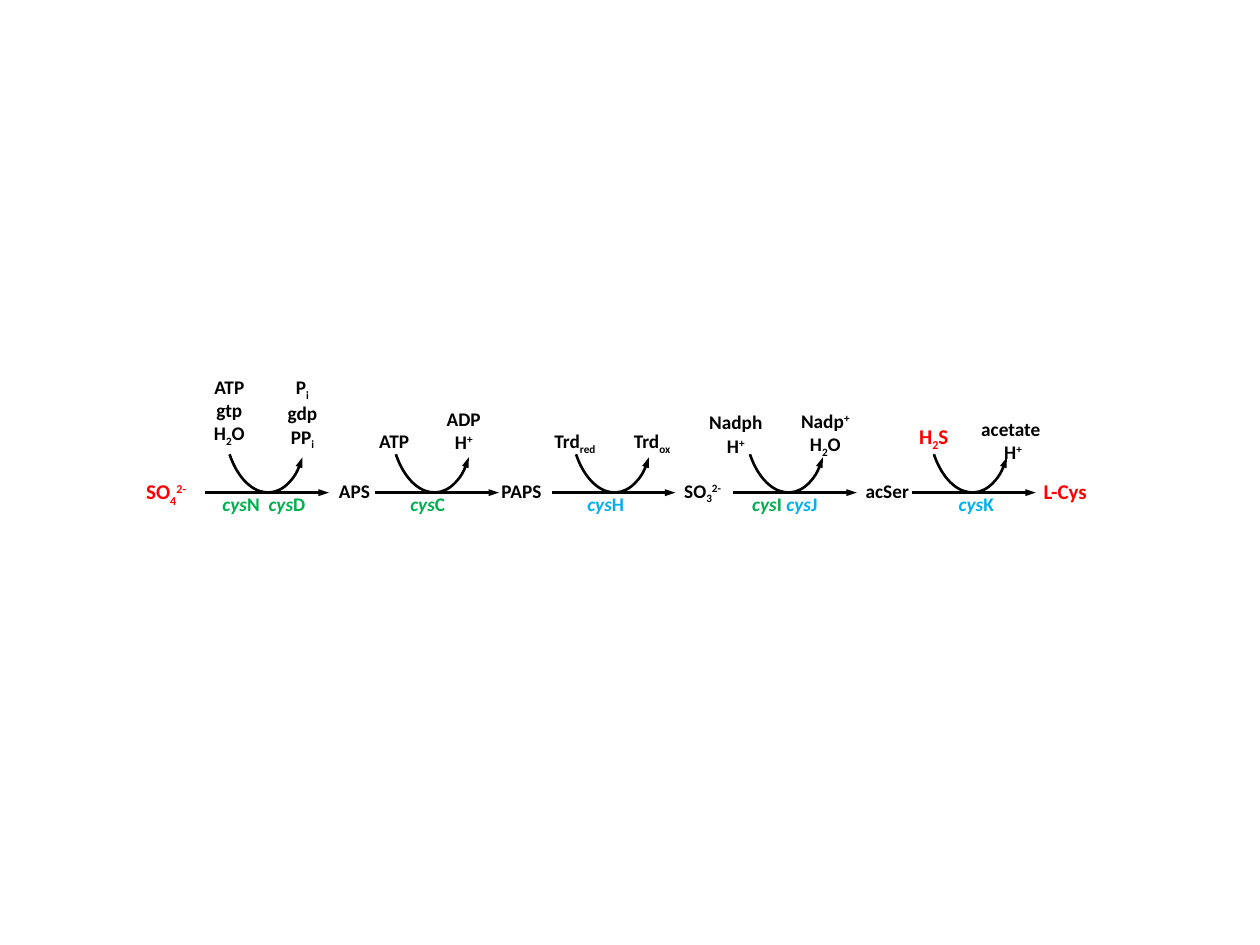
from pptx import Presentation
from pptx.dml.color import RGBColor
from pptx.enum.shapes import MSO_CONNECTOR, MSO_SHAPE
from pptx.enum.text import MSO_AUTO_SIZE, PP_ALIGN
from pptx.oxml.ns import qn
from pptx.util import Inches, Pt
from lxml.etree import SubElement

COLORS = {"black": "000000", "red": "FF0000", "green": "00B050", "blue": "00B0F0"}
FONT = "Calibri"
BASELINES = {"_": "-25000", "^": "30000"}

# Run markup: "|" separates runs, "_" subscript, "^" superscript, "/" italic
# Metabolites on the main axis: left, text, format
METABOLITES = [
    (1.16, "SO|_4|^2-", {"size": 12, "colors": ["red"]}),
    (2.69, "APS", {}),
    (3.98, "PAPS", {}),
    (5.43, "SO|_3|^2-", {"width": 0.38}),
    (6.87, "acSer", {}),
    (8.13, "L-Cys", {"size": 12, "colors": ["red"], "width": 0.65,
                     "margin": 0.04, "align": PP_ALIGN.CENTER}),
]

# Cofactors above the axis: left, top, lines, format
CENTER = {"align": PP_ALIGN.CENTER}
COFACTORS = [
    (1.56, 2.98, ["ATP", "gtp", "H|_2|O"], CENTER),
    (2.14, 2.98, ["P|_i", "gdp", "PP|_i"], CENTER),
    (3.01, 3.41, ["ATP"], {}),
    (3.42, 3.23, ["ADP", "H|^+"], CENTER),
    (4.40, 3.41, ["Trd|_red"], {}),
    (5.03, 3.41, ["Trd|_ox"], {}),
    (5.58, 3.26, ["Nadph", "H|^+"], CENTER),
    (6.29, 3.25, ["Nadp|^+", "H|_2|O"], CENTER),
    (7.15, 3.36, ["H|_2|S"], {"size": 12, "colors": ["red"], **CENTER}),
    (7.78, 3.31, ["acetate ", "H|^+"], CENTER),
]

# Reactions: arrow start, curve left, gene box left and width, genes, alignment
REACTIONS = [
    (1.63, 1.78, 1.38, 1.43, [("N  ", "green"), ("D", "green")], PP_ALIGN.CENTER),
    (2.98, 3.10, 2.68, 1.43, [("C", "green")], PP_ALIGN.CENTER),
    (4.38, 4.53, 4.11, 1.43, [("H ", "blue")], PP_ALIGN.CENTER),
    (5.82, 5.91, 5.97, 0.63, [("I ", "green"), ("J", "blue")], PP_ALIGN.LEFT),
    (7.24, 7.37, 7.47, 0.59, [("K ", "blue")], PP_ALIGN.CENTER),
]

AXIS_Y, ARROW_LEN = 3.91, 0.98
METABOLITE_Y, LINE_H = 3.8, 0.18
CURVE_W, CURVE_H = 0.65, 1.08
CURVE_ANGLES = (45, 144)  # degrees, clockwise from the right


def rgb(name):
    return RGBColor.from_string(COLORS[name])


def add_text(s, lines, left, top, *, width=0.52, size=11, colors=("black",),
             align=PP_ALIGN.LEFT, margin=0):
    box = s.shapes.add_textbox(Inches(left), Inches(top), Inches(width),
                               Inches(LINE_H * len(lines)))
    tf = box.text_frame
    tf.word_wrap = True
    tf.auto_size = MSO_AUTO_SIZE.SHAPE_TO_FIT_TEXT
    tf.margin_left = tf.margin_right = Inches(margin)
    tf.margin_top = tf.margin_bottom = 0
    for n, line in enumerate(lines):
        p = tf.paragraphs[0] if n == 0 else tf.add_paragraph()
        p.alignment = align
        for i, part in enumerate(line.split("|")):
            # A leading mark sets the run's style
            mark = part[0] if part[0] in "_^/" else ""
            r = p.add_run()
            r.text = part[len(mark):]
            r.font.name, r.font.size, r.font.bold = FONT, Pt(size), True
            r.font.italic = mark == "/"
            r.font.color.rgb = rgb(colors[i % len(colors)])
            if mark in BASELINES:
                r.font._element.set("baseline", BASELINES[mark])


def style_line(shape, end):
    shape.line.color.rgb = rgb("black")
    shape.line.width = Pt(1.5)
    SubElement(shape.line._get_or_add_ln(), qn(f"a:{end}"),
               type="triangle", w="sm", len="med")


def add_arrow(s, left):
    arrow = s.shapes.add_connector(
        MSO_CONNECTOR.STRAIGHT, Inches(left), Inches(AXIS_Y),
        Inches(left + ARROW_LEN), Inches(AXIS_Y))
    style_line(arrow, "tailEnd")
    SubElement(arrow._element.spPr, qn("a:effectLst"))


def add_curve(s, left):
    arc = s.shapes.add_shape(MSO_SHAPE.ARC, Inches(left), Inches(AXIS_Y - CURVE_H),
                             Inches(CURVE_W), Inches(CURVE_H))
    for i, angle in enumerate(CURVE_ANGLES):
        arc.adjustments[i] = angle * 0.6  # 60000 units a degree, scaled by 100000
    arc.rotation = 356.2
    arc.fill.background()
    style_line(arc, "headEnd")
    arc.shadow.inherit = False


def main():
    prs = Presentation()
    prs.slide_width, prs.slide_height = Inches(10), Inches(7.5)
    s = prs.slides.add_slide(prs.slide_layouts[6])

    # Reaction arrows, cofactor curves and genes
    for start, curve, left, width, genes, align in REACTIONS:
        add_arrow(s, start)
        add_curve(s, curve)
        add_text(s, ["|".join(f"/cys|{gene}" for gene, _ in genes)], left, AXIS_Y,
                 width=width, align=align,
                 colors=[c for _, c in genes for _ in range(2)])

    # Metabolites and cofactors
    for left, text, fmt in METABOLITES:
        add_text(s, [text], left, METABOLITE_Y, **fmt)
    for left, top, lines, fmt in COFACTORS:
        add_text(s, lines, left, top, **fmt)

    prs.save("out.pptx")


if __name__ == "__main__":
    main()
